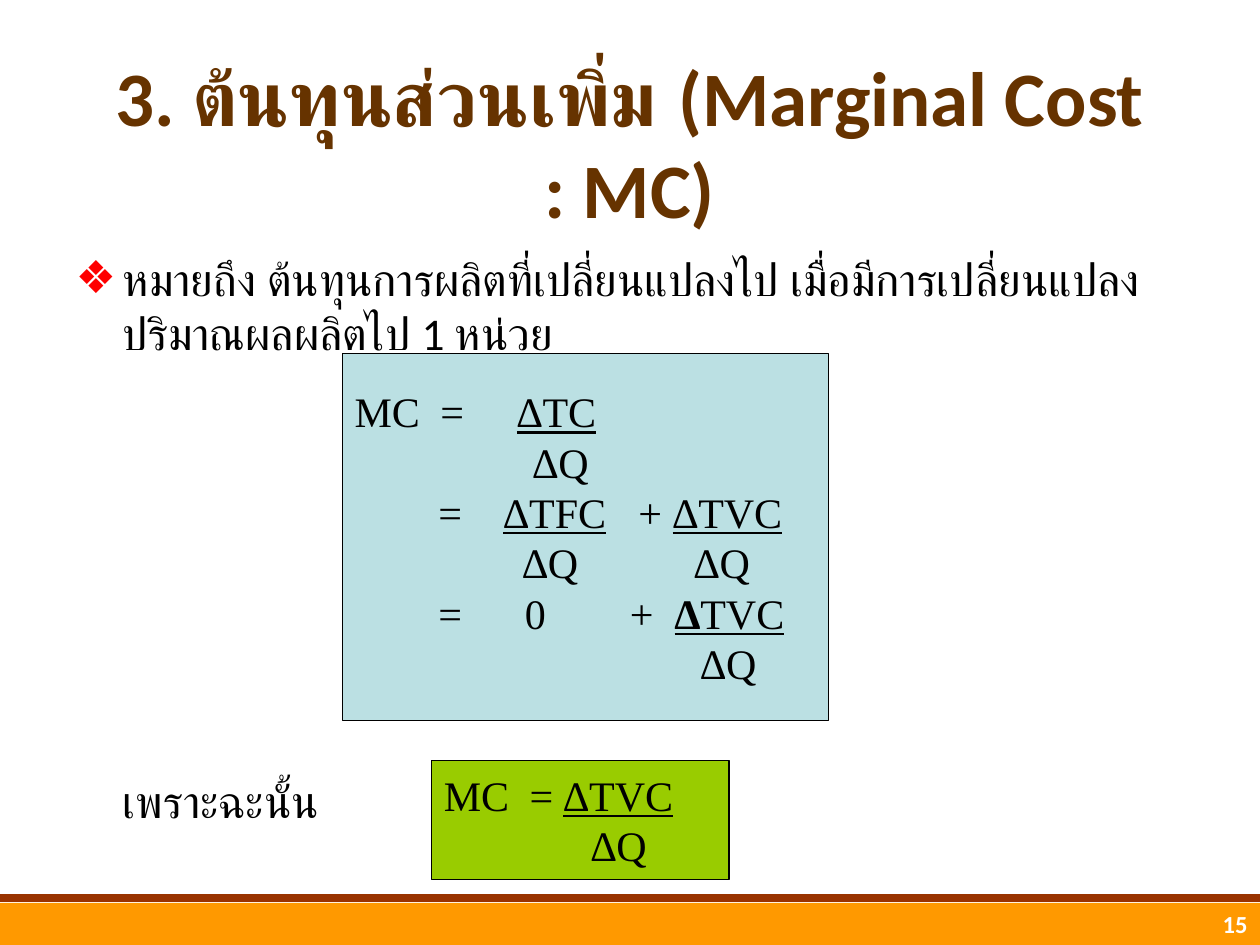
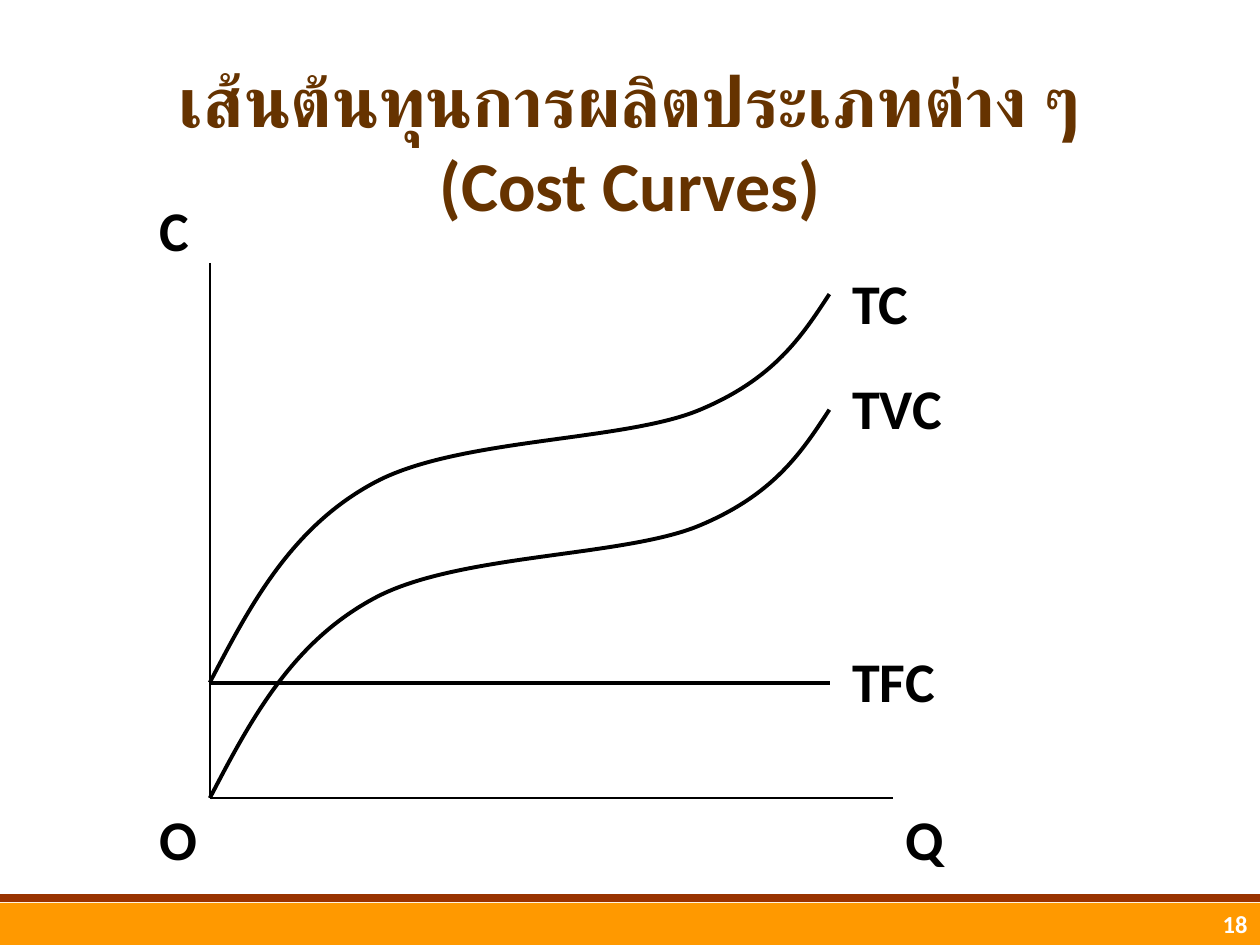
from lxml import etree
from pptx import Presentation, util as u
from pptx.dml.color import RGBColor
from pptx.enum import shapes, text
from pptx.oxml.ns import qn

COLORS = {
    "title": "663300", "ink": "000000", "page": "FFFFFF", "bullet": "FF0000",
    "bar": "FF9900", "rule": "993300", "steps": "BBE0E3", "result": "99CC00",
}
RGB = {name: RGBColor.from_string(value) for name, value in COLORS.items()}


def add_line(page, x1, y1, x2, y2, color, width):
    line = page.shapes.add_connector(
        shapes.MSO_CONNECTOR.STRAIGHT, u.Cm(x1), u.Cm(y1), u.Cm(x2), u.Cm(y2))
    line.line.color.rgb = RGB[color]
    line.line.width = u.Pt(width)
    etree.SubElement(line.element.spPr, qn("a:effectLst"))
    return line


def format_para(para, size, color="ink", bold=False, font="Calibri"):
    para.font.name = font
    para.font.size = u.Pt(size)
    para.font.bold = bold
    para.font.color.rgb = RGB[color]


deck = Presentation()
deck.slide_width, deck.slide_height = u.Cm(25.4), u.Cm(19.05)

# Titles and page numbers
pages = []
for layout, title, size, number in [
    (1, "3. ต้นทุนส่วนเพิ่ม (Marginal Cost : MC)", 44, "15"),
    (5, "เส้นต้นทุนการผลิตประเภทต่าง ๆ (Cost Curves)", 40, "18"),
]:
    page = deck.slides.add_slide(deck.slide_layouts[layout])
    pages.append(page)
    box = page.shapes.title
    box.left, box.top, box.width, box.height = u.Cm(1.9), u.Cm(1.27), u.Cm(21.59), u.Cm(3.18)
    box.text_frame.text = title
    box.text_frame.auto_size = text.MSO_AUTO_SIZE.NONE
    box.text_frame.vertical_anchor = text.MSO_ANCHOR.MIDDLE
    para = box.text_frame.paragraphs[0]
    para.alignment = text.PP_ALIGN.CENTER
    format_para(para, size, "title", True)

    box = page.shapes.add_textbox(u.Cm(20.12), u.Cm(18.21), u.Cm(5.28), u.Cm(1.27))
    box.text_frame.word_wrap = True
    para = box.text_frame.paragraphs[0]
    para.text = number
    para.alignment = text.PP_ALIGN.RIGHT
    format_para(para, 14, "page", True)

formula_page, curve_page = pages

# Footer band, moved to the master so that every page shares it
bar = formula_page.shapes.add_shape(
    shapes.MSO_SHAPE.RECTANGLE, 0, u.Cm(18.2), u.Cm(25.4), u.Cm(0.85))
bar.shadow.inherit = False
bar.fill.solid()
bar.fill.fore_color.rgb = RGB["bar"]
bar.line.fill.background()
rule = add_line(formula_page, 0, 18.1, 25.4, 18.1, "rule", 4.5)
for part in (bar, rule):
    deck.slide_master.shapes.element.append(part.element)

# Definition and conclusion
body = formula_page.placeholders[1]
body.left, body.top, body.width, body.height = u.Cm(1.27), u.Cm(4.93), u.Cm(22.86), u.Cm(13)
frame = body.text_frame
frame.auto_size = text.MSO_AUTO_SIZE.NONE
frame.text = ("หมายถึง ต้นทุนการผลิตที่เปลี่ยนแปลงไป "
              "เมื่อมีการเปลี่ยนแปลงปริมาณผลผลิตไป 1 หน่วย\nเพราะฉะนั้น")
definition, conclusion = frame.paragraphs
definition.space_before = u.Pt(7)
conclusion.space_before = u.Pt(236)
props = definition._p.get_or_add_pPr()
bullet_color = etree.SubElement(props, qn("a:buClr"))
etree.SubElement(bullet_color, qn("a:srgbClr"), val=COLORS["bullet"])
etree.SubElement(props, qn("a:buChar"), char="❖")
props = conclusion._p.get_or_add_pPr()
props.set("indent", "0")
etree.SubElement(props, qn("a:buNone"))
for para in frame.paragraphs:
    format_para(para, 25.9)

# Formula boxes: each piece is (tab stop in cm or 0, text, style)
steps = [
    [(0, "MC", ""), (1.73, "=", ""), (3.27, "∆TC", "u")],
    [(3.59, "∆Q", "")],
    [(1.69, "=", ""), (3, "∆TFC", "u"), (5.72, "+", ""), (6.41, "∆TVC", "u")],
    [(3.38, "∆Q", ""), (6.84, "∆Q", "")],
    [(1.69, "=", ""), (3.43, "0", ""), (5.55, "+", ""), (6.45, "∆", "ub"), (0, "TVC", "u")],
    [(6.97, "∆Q", "")],
]
result = [
    [(0, "MC", ""), (1.73, "=", ""), (2.41, "∆TVC", "u")],
    [(2.96, "∆Q", "")],
]
for left, top, width, height, fill, rows in [
    (6.9, 7.13, 9.8, 7.39, "steps", steps),
    (8.7, 15.33, 6, 2.4, "result", result),
]:
    box = formula_page.shapes.add_shape(
        shapes.MSO_SHAPE.RECTANGLE, u.Cm(left), u.Cm(top), u.Cm(width), u.Cm(height))
    box.shadow.inherit = False
    box.fill.solid()
    box.fill.fore_color.rgb = RGB[fill]
    box.line.color.rgb = RGB["ink"]
    box.line.width = u.Pt(0.75)
    frame = box.text_frame
    frame.word_wrap = True
    frame.vertical_anchor = text.MSO_ANCHOR.MIDDLE
    for index, row in enumerate(rows):
        para = frame.add_paragraph() if index else frame.paragraphs[0]
        para.alignment = text.PP_ALIGN.LEFT
        tabs = etree.SubElement(para._p.get_or_add_pPr(), qn("a:tabLst"))
        for stop, piece, style in row:
            if stop:
                etree.SubElement(tabs, qn("a:tab"), pos=str(int(u.Cm(stop))), algn="l")
                para.add_run().text = "\t"
            span = para.add_run()
            span.text = piece
            if "u" in style:
                span.font.underline = True
            if "b" in style:
                span.font.bold = True
        format_para(para, 24, font="Times New Roman")

# Axes and fixed cost line
origin_x, origin_y, fixed_y = 4.23, 16.09, 13.76
add_line(curve_page, origin_x, 5.3, origin_x, origin_y, "ink", 1)
add_line(curve_page, origin_x, origin_y, 18, origin_y, "ink", 1)
add_line(curve_page, origin_x, fixed_y, 16.73, fixed_y, "ink", 2.25)

# Cost curves: one chain of cubic Béziers from two starting heights
controls = [
    (0.81, -1.55), (1.63, -3.11), (3.28, -4.01), (4.93, -4.93), (8.31, -4.85),
    (9.86, -5.49), (11.38, -6.12), (11.94, -6.99), (12.49, -7.83),
]
groups = {}
for name, start_y in [("TVC", origin_y), ("TC", fixed_y)]:
    groups[name] = curve_page.shapes.add_group_shape()
    builder = groups[name].shapes.build_freeform(u.Cm(origin_x), u.Cm(start_y))
    builder.add_line_segments(
        [(u.Cm(origin_x + x), u.Cm(start_y + y)) for x, y in controls], close=False)
    curve = builder.convert_to_shape()
    curve.shadow.inherit = False
    curve.fill.background()
    curve.line.color.rgb = RGB["ink"]
    curve.line.width = u.Pt(2.25)
    # Every three straight steps become one Bézier segment
    steps_to_bend = list(curve.element.iter(qn("a:lnTo")))
    outline = steps_to_bend[0].getparent()
    for first in range(0, len(steps_to_bend), 3):
        bend = etree.SubElement(outline, qn("a:cubicBezTo"))
        for step in steps_to_bend[first:first + 3]:
            bend.append(step[0])
            outline.remove(step)

# Axis and curve labels
for label, left, top, width in [
    ("C", 2.96, 3.81, 1.27), ("O", 2.96, origin_y, 1.07), ("Q", 18, origin_y, 1.07),
    ("TFC", 16.93, 12.91, 2.33), ("TVC", 16.93, 7.41, 2.33), ("TC", 16.93, 5.29, 1.9),
]:
    box = groups.get(label, curve_page).shapes.add_textbox(
        u.Cm(left), u.Cm(top), u.Cm(width), u.Cm(1.69))
    box.text_frame.word_wrap = True
    box.text_frame.margin_right = 0
    para = box.text_frame.paragraphs[0]
    para.text = label
    para.space_before = u.Pt(8)
    format_para(para, 32, bold=True)

deck.save("out.pptx")
